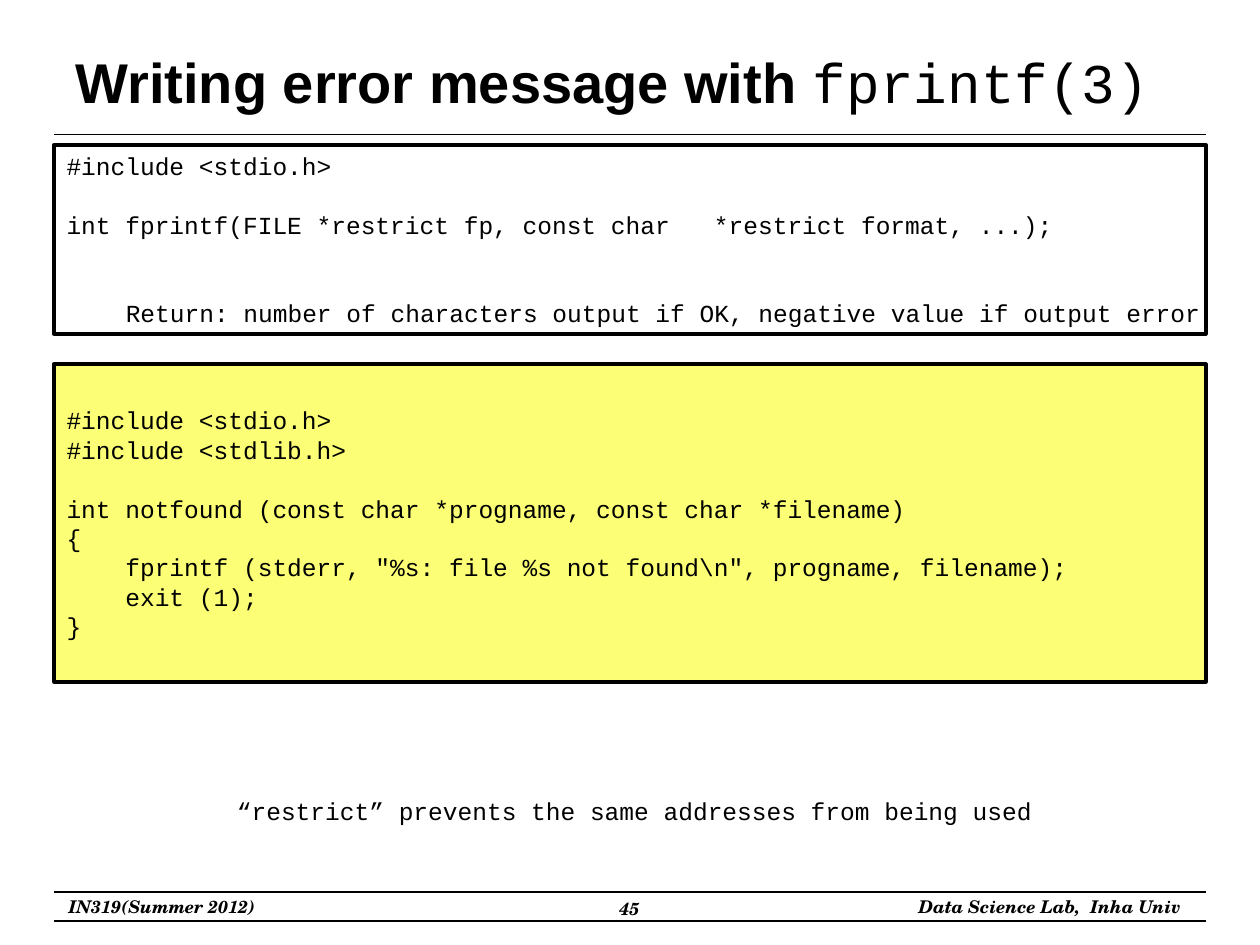
from pptx import Presentation
from pptx.dml.color import RGBColor
from pptx.enum import shapes, text
from pptx.oxml import ns
from pptx.util import Inches, Pt
from lxml import etree

BLACK = RGBColor(0x00, 0x00, 0x00)
WHITE = RGBColor(0xFF, 0xFF, 0xFF)
YELLOW = RGBColor(0xFC, 0xFF, 0x75)
MONO = "Courier New"
SERIF = "TeX Gyre Schola"
LEFT, RIGHT = 0.43, 9.57
LINE_PITCH = 16.8


def add_run(paragraph, wording, font, size, bold=False, italic=False):
    run = paragraph.add_run()
    run.text = wording
    run.font.name = font
    run.font.size = Pt(size)
    run.font.bold = bold
    run.font.italic = italic
    run.font.color.rgb = BLACK


def add_label(wording, left, top, width, height, align, font, size, wrap, emphasis):
    label = slide.shapes.add_textbox(Inches(left), Inches(top), Inches(width), Inches(height))
    label.text_frame.word_wrap = wrap
    paragraph = label.text_frame.paragraphs[0]
    paragraph.alignment = align
    add_run(paragraph, wording, font, size, emphasis, emphasis)


deck = Presentation()
deck.slide_width, deck.slide_height = Inches(10), Inches(7.5)
slide = deck.slides.add_slide(deck.slide_layouts[5])

for y in (1.07, 7.08, 7.31):
    rule = slide.shapes.add_connector(
        shapes.MSO_CONNECTOR.STRAIGHT, Inches(LEFT), Inches(y), Inches(RIGHT), Inches(y))
    rule.line.color.rgb = BLACK
    rule.line.width = Pt(0.75)
    etree.SubElement(rule._element.spPr, ns.qn("a:effectLst"))

title = slide.shapes.title
title.left, title.top = Inches(0.5), Inches(0.3)
title.width, title.height = Inches(9), Inches(0.69)
title.text_frame.vertical_anchor = text.MSO_ANCHOR.MIDDLE
heading = title.text_frame.paragraphs[0]
heading.alignment = text.PP_ALIGN.LEFT
add_run(heading, "Writing error message with ", "Arial", 32, bold=True)
add_run(heading, "fprintf(3)", MONO, 32)

# (blank lines above, left indent in inches, wording)
prototype = [
    (0, 0, "#include <stdio.h>"),
    (1, 0, "int fprintf(FILE *restrict fp, const char   *restrict format, ...);"),
    (2, 0.47, "Return: number of characters output if OK, negative value if output error"),
]
example = [
    (0, 0, "#include <stdio.h>"),
    (0, 0, "#include <stdlib.h>"),
    (1, 0, "int notfound (const char *progname, const char *filename)"),
    (0, 0, "{"),
    (0, 0, '    fprintf (stderr, "%s: file %s not found\\n", progname, filename);'),
    (0, 0, "    exit (1);"),
    (0, 0, "}"),
]
for top, height, color, code in ((1.15, 1.5, WHITE, prototype), (2.89, 2.52, YELLOW, example)):
    panel = slide.shapes.add_shape(
        shapes.MSO_SHAPE.RECTANGLE, Inches(LEFT), Inches(top), Inches(RIGHT - LEFT), Inches(height))
    panel.shadow.inherit = False
    panel.fill.solid()
    panel.fill.fore_color.rgb = color
    panel.line.color.rgb = BLACK
    panel.line.width = Pt(2.25)
    frame = panel.text_frame
    frame.word_wrap = False
    frame.vertical_anchor = text.MSO_ANCHOR.MIDDLE
    for number, (gap, indent, wording) in enumerate(code):
        line = frame.add_paragraph() if number else frame.paragraphs[0]
        line.alignment = text.PP_ALIGN.LEFT
        line.line_spacing = Pt(LINE_PITCH)
        if gap:
            line.space_before = Pt(gap * LINE_PITCH)
        if indent:
            line._p.get_or_add_pPr().set("marL", str(Inches(indent)))
        add_run(line, wording, MONO, 14)

CENTER, END = text.PP_ALIGN.CENTER, text.PP_ALIGN.RIGHT
for label in (
    ("“restrict” prevents the same addresses from being used",
     0.59, 6.27, 8.9, 0.34, CENTER, MONO, 14, True, False),
    ("IN319(Summer 2012)", 0.41, 7.06, 1.75, 0.27, CENTER, SERIF, 10, False, True),
    ("45", 3.83, 7.08, 2.33, 0.31, CENTER, SERIF, 10, True, True),
    ("Data Science Lab,  Inha Univ", 7.16, 7.06, 2.31, 0.27, END, SERIF, 10, False, True),
):
    add_label(*label)

deck.save("out.pptx")
